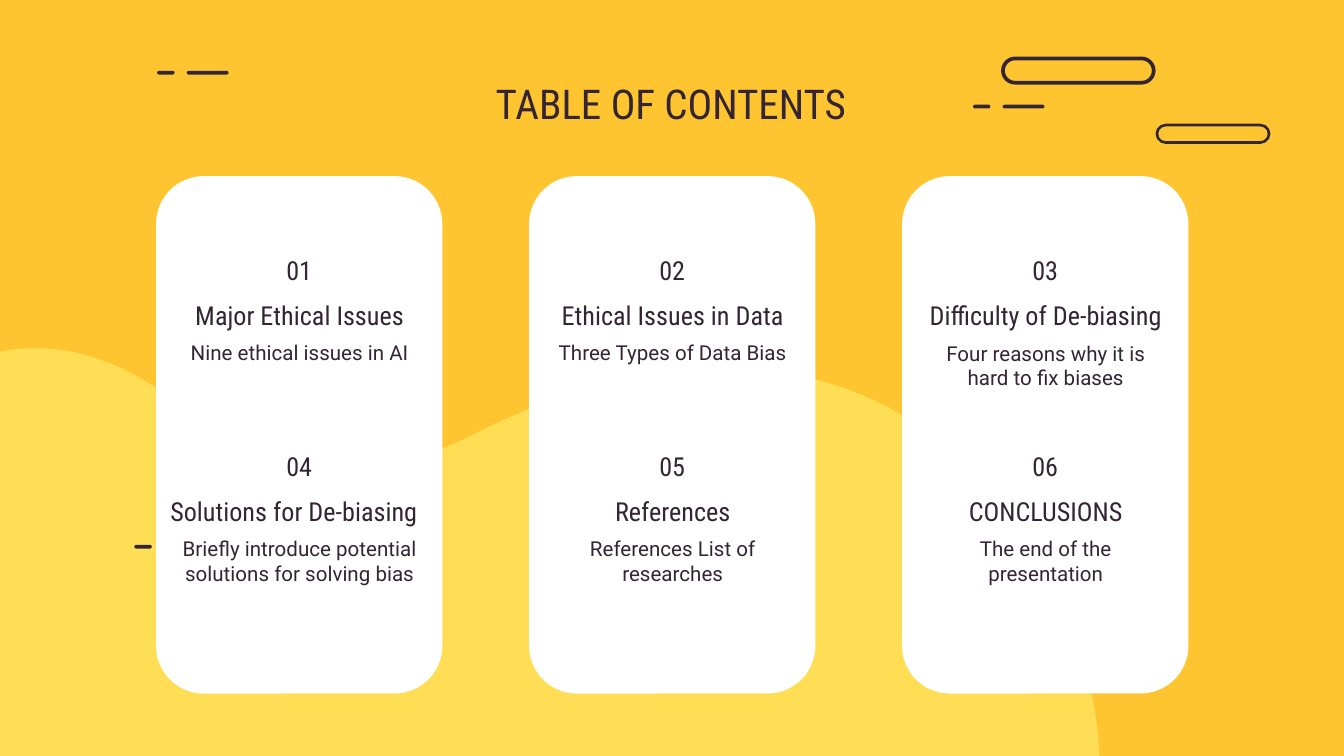
import pptx
import pptx.dml.color
import pptx.enum.shapes
import pptx.enum.text
import pptx.util

Cm = pptx.util.Cm
SHAPES = pptx.enum.shapes.MSO_SHAPE
ANCHORS = pptx.enum.text.MSO_ANCHOR

THEME = {
    "background": "FFC530", "hill": "FFDE55", "ink": "332533", "card": "FFFFFF",
    "display": "Roboto Condensed", "body": "Roboto",
    "title_size": 22, "heading_size": 14, "body_size": 11,
}

TITLE = "TABLE OF CONTENTS"
SECTIONS = [
    ("Major Ethical Issues", "Nine ethical issues in AI"),
    ("Ethical Issues in Data", "Three Types of Data Bias"),
    ("Difficulty of De-biasing", "Four reasons why it is hard to fix biases"),
    ("Solutions for De-biasing", "Briefly introduce potential solutions for solving bias"),
    ("References", "References List of researches"),
    ("CONCLUSIONS", "The end of the presentation"),
]
WIDE_HEADING = "Solutions for De-biasing"

HILL_START = (-4.09, 14.29)
HILL_CURVES = [
    ((-4.04, 11.33), (-3.38, 7.04), (0.1, 6.63)),
    ((0.3, 6.6), (0.48, 6.58), (0.66, 6.58)),
    ((2.64, 6.58), (3.66, 8.15), (5.49, 8.74)),
    ((5.84, 8.84), (6.2, 8.89), (6.55, 8.89)),
    ((7.49, 8.89), (8.38, 8.51), (9.32, 8.03)),
    ((10.72, 7.37), (12.22, 6.96), (13.67, 6.96)),
    ((15.82, 6.96), (17.83, 7.85), (19.28, 10.01)),
    ((20.09, 11.25), (20.73, 12.78), (20.78, 14.29)),
]
DASHES = [
    (18.95, 1.98, 0.79), (18.39, 1.98, 0.33), (2.54, 10.3, 0.33),
    (3.53, 1.34, 0.79), (2.97, 1.34, 0.33),
]
DASH_HEIGHT = 0.07
PILLS = [(18.92, 1.07, 2.92, 0.53, 0.07), (21.84, 2.34, 2.17, 0.38, 0.05)]

COLUMNS = 3
CARD_LEFT, CARD_TOP, CARD_WIDTH, CARD_HEIGHT = 2.95, 3.33, 5.41, 9.78
COLUMN_STEP, ROW_STEP = 7.05, 3.7


def rgb(part):
    return pptx.dml.color.RGBColor.from_string(THEME[part])


def bezier_points(start, curves, steps=24):
    points = []
    for first, second, end in curves:
        for step in range(1, steps + 1):
            t = step / steps
            u = 1 - t
            points.append(tuple(
                Cm(u**3 * a + 3 * u * u * t * b + 3 * u * t * t * c + t**3 * d)
                for a, b, c, d in zip(start, first, second, end)))
        start = end
    return points


def add_hill(slide):
    builder = slide.shapes.build_freeform(*map(Cm, HILL_START))
    builder.add_line_segments(bezier_points(HILL_START, HILL_CURVES), close=True)
    hill = builder.convert_to_shape()
    hill.shadow.inherit = False
    hill.fill.solid()
    hill.fill.fore_color.rgb = rgb("hill")
    hill.line.fill.background()


def add_rounded(slide, left, top, width, height, part, radius=0.5, stroke=0):
    rounded = slide.shapes.add_shape(
        SHAPES.ROUNDED_RECTANGLE, *map(Cm, (left, top, width, height)))
    rounded.adjustments[0] = radius
    rounded.shadow.inherit = False
    if stroke:
        rounded.fill.background()
        rounded.line.color.rgb = rgb(part)
        rounded.line.width = Cm(stroke)
    else:
        rounded.fill.solid()
        rounded.fill.fore_color.rgb = rgb(part)
        rounded.line.fill.background()


def add_text(slide, text, *, left, top, width, height, size="heading_size",
             font="display", anchor=ANCHORS.MIDDLE):
    frame = slide.shapes.add_textbox(*map(Cm, (left, top, width, height))).text_frame
    frame.word_wrap = True
    frame.vertical_anchor = anchor
    frame.margin_left = frame.margin_right = Cm(0.25)
    frame.margin_top = frame.margin_bottom = Cm(0.25)
    paragraph = frame.paragraphs[0]
    paragraph.alignment = pptx.enum.text.PP_ALIGN.CENTER
    run = paragraph.add_run()
    run.text = text
    run.font.name = THEME[font]
    run.font.size = pptx.util.Pt(THEME[size])
    run.font.color.rgb = rgb("ink")


def add_section(slide, index, heading, description):
    row, column = divmod(index, COLUMNS)
    left = CARD_LEFT + column * COLUMN_STEP
    drop = row * ROW_STEP
    inset, width = (0, 5.21) if heading == WIDE_HEADING else (0.24, 4.95)
    add_text(slide, f"{index + 1:02}", left=left + 0.48, top=4.75 + drop,
             width=4.45, height=0.71)
    add_text(slide, heading, left=left + inset, top=5.54 + drop,
             width=width, height=0.84)
    add_text(slide, description, left=left + 0.24, top=6.19 + drop,
             width=4.95, height=1.4, size="body_size", font="body", anchor=ANCHORS.TOP)


def main():
    deck = pptx.Presentation()
    deck.slide_width, deck.slide_height = Cm(25.4), Cm(14.29)
    slide = deck.slides.add_slide(deck.slide_layouts[6])
    slide.background.fill.solid()
    slide.background.fill.fore_color.rgb = rgb("background")

    add_hill(slide)
    for left, top, width in DASHES:
        add_rounded(slide, left, top, width, DASH_HEIGHT, "ink")
    for left, top, width, height, stroke in PILLS:
        add_rounded(slide, left + stroke / 2, top + stroke / 2,
                    width - stroke, height - stroke, "ink", stroke=stroke)
    for column in range(COLUMNS):
        add_rounded(slide, CARD_LEFT + column * COLUMN_STEP, CARD_TOP,
                    CARD_WIDTH, CARD_HEIGHT, "card", radius=0.167)

    add_text(slide, TITLE, left=2, top=1.24, width=21.36, height=1.6,
             size="title_size", anchor=ANCHORS.TOP)
    for index, (heading, description) in enumerate(SECTIONS):
        add_section(slide, index, heading, description)
    deck.save("out.pptx")


if __name__ == "__main__":
    main()
